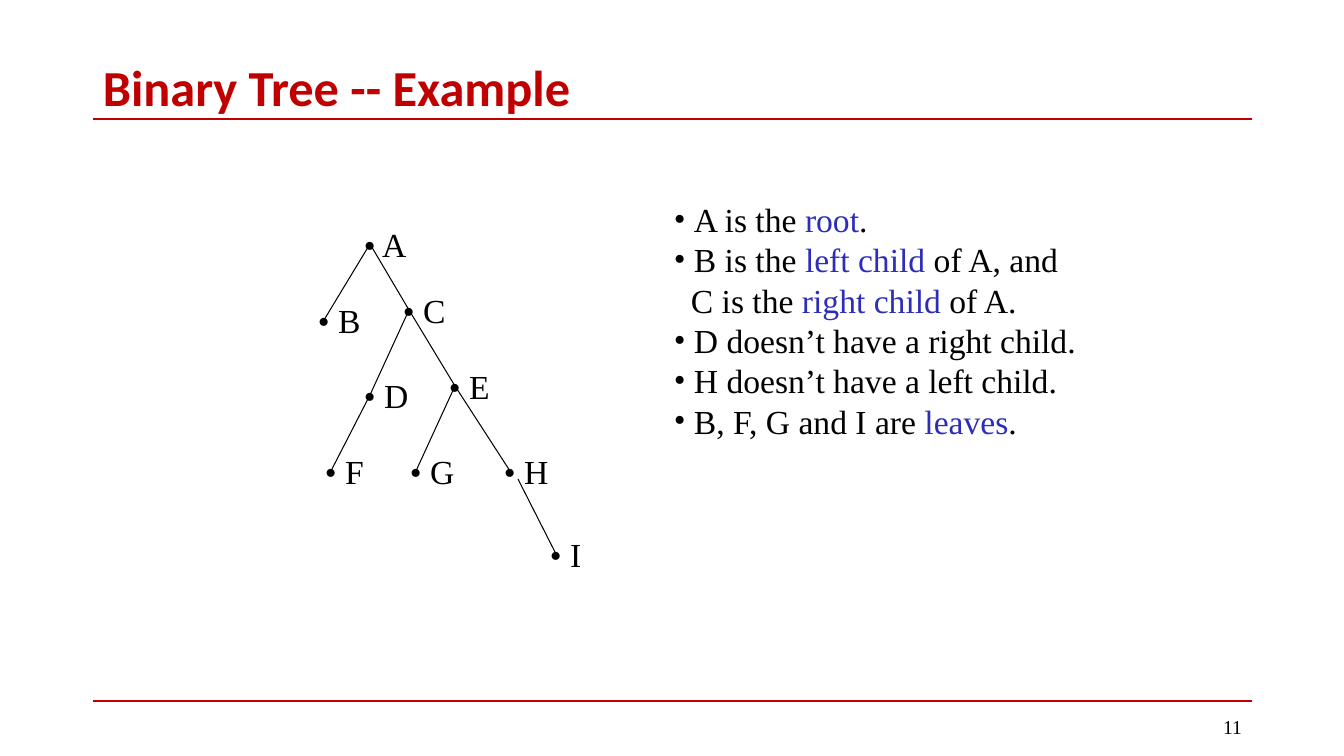
from lxml import etree
from pptx import Presentation
from pptx.dml.color import RGBColor
from pptx.enum.shapes import MSO_CONNECTOR
from pptx.enum.text import MSO_ANCHOR, PP_ALIGN
from pptx.oxml.ns import qn
from pptx.util import Pt

PX = 914400 / 100.8
COLORS = {"red": "C00000", "black": "000000", "blue": "2D2DB9"}
SERIF = "Times New Roman"

prs = Presentation()
prs.slide_width = round(1344 * PX)
prs.slide_height = round(756 * PX)
s = prs.slides.add_slide(prs.slide_layouts[6])


def add_line(x1, y1, x2, y2, color, width):
    ends = [round(v * PX) for v in (x1, y1, x2, y2)]
    line = s.shapes.add_connector(MSO_CONNECTOR.STRAIGHT, *ends)
    line.line.color.rgb = RGBColor.from_string(COLORS[color])
    line.line.width = Pt(width)
    etree.SubElement(line._element.spPr, qn("a:effectLst"))


def add_text(x, y, w, h, runs, size, font=SERIF, bold=None, wrap=True):
    sp = s.shapes.add_textbox(*[round(v * PX) for v in (x, y, w, h)])
    tf = sp.text_frame
    tf.word_wrap = wrap
    for i, parts in enumerate(runs):
        p = tf.paragraphs[0] if i == 0 else tf.add_paragraph()
        for text, color in parts:
            r = p.add_run()
            r.text = text
            r.font.name = font
            r.font.size = Pt(size)
            r.font.bold = bold
            r.font.color.rgb = RGBColor.from_string(COLORS[color])
    return tf


for y in (119, 701):
    add_line(93, y, 1252, y, "red", 1.5)

title = add_text(93, 61, 1159, 58, [[("Binary Tree -- Example", "red")]], 36, "Calibri", True)
title.vertical_anchor = MSO_ANCHOR.MIDDLE
title.paragraphs[0].line_spacing = 0.9

number = add_text(950, 707, 302, 40, [[("11", "black")]], 14)
number.vertical_anchor = MSO_ANCHOR.MIDDLE
number.paragraphs[0].alignment = PP_ALIGN.RIGHT

nodes = {
    "A": (370, 244), "B": (324, 320), "C": (409, 310),
    "D": (370, 395), "E": (455, 386), "F": (331, 471),
    "G": (416, 471), "H": (510, 471), "I": (556, 554),
}
for parent, child in ("AB", "AC", "CD", "CE", "DF", "EG", "EH", "HI"):
    gap = 8 if parent == "H" else 0
    x, y = nodes[parent]
    add_line(x + gap, y + gap, *nodes[child], "black", 0.75)

for name, (x, y) in nodes.items():
    label = add_text(x - 16, y - 25, 66, 51, [[(f"• {name}", "black")]], 24, wrap=False)
    label.paragraphs[0].line_spacing = Pt(28.8)

facts = [
    [("A is the ", "black"), ("root", "blue"), (".", "black")],
    [("B is the ", "black"), ("left child ", "blue"), ("of A, and", "black")],
    [("C is the ", "black"), ("right child ", "blue"), ("of A.", "black")],
    [("D doesn’t have a right child.", "black")],
    [("H doesn’t have a left child.", "black")],
    [("B, F, G and I are ", "black"), ("leaves", "blue"), (".", "black")],
]
tf = add_text(664, 194, 426, 295, facts, 24, wrap=False)
for i, p in enumerate(tf.paragraphs):
    p.line_spacing = Pt(28.8)
    pPr = p._p.get_or_add_pPr()
    if i == 2:
        pPr.set("marL", str(round(17 * PX)))
    else:
        pPr.set("marL", str(round(20 * PX)))
        pPr.set("indent", str(round(-20 * PX)))
        etree.SubElement(pPr, qn("a:buFont")).set("typeface", SERIF)
        etree.SubElement(pPr, qn("a:buChar")).set("char", "•")

prs.save("out.pptx")
